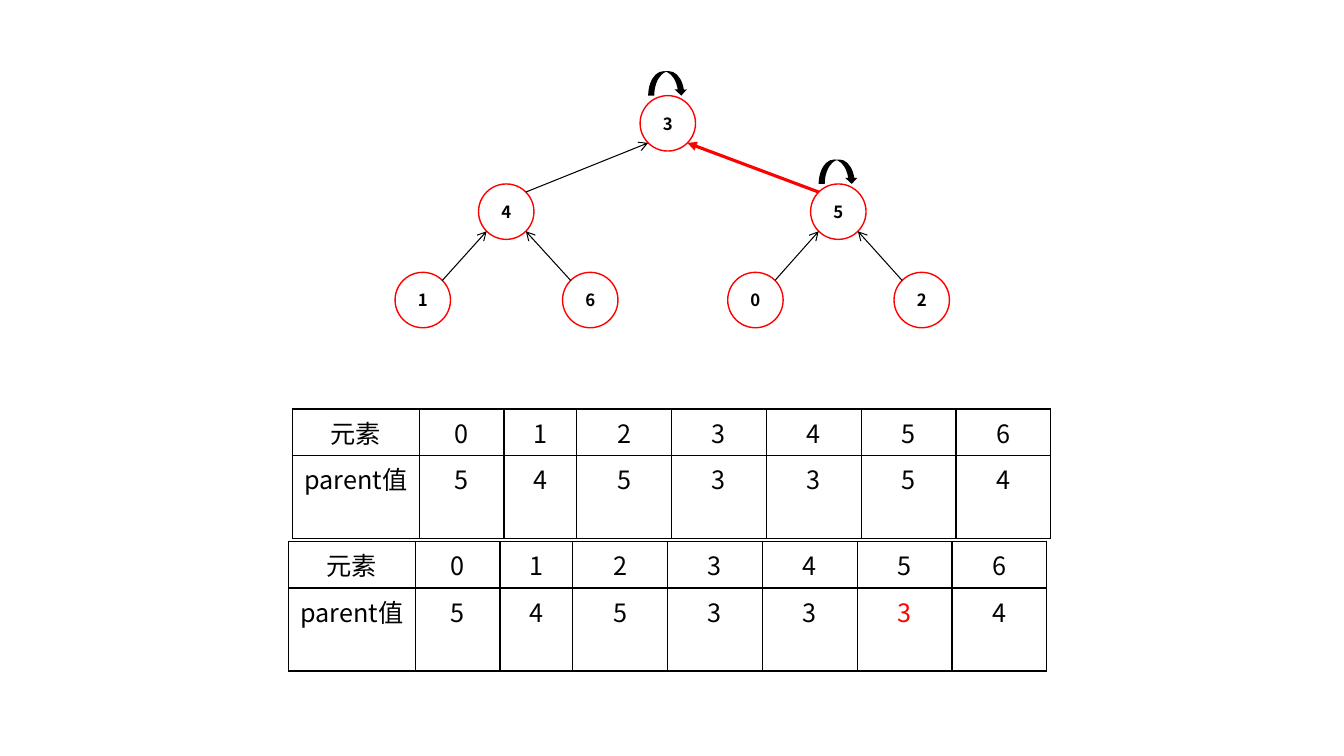
from dataclasses import dataclass
from math import sqrt

from lxml import etree
from pptx import Presentation
from pptx.dml.color import RGBColor
from pptx.enum.shapes import MSO_CONNECTOR, MSO_SHAPE
from pptx.enum.text import MSO_ANCHOR, PP_ALIGN
from pptx.oxml.ns import qn
from pptx.util import Pt


@dataclass(frozen=True)
class Theme:
    font: str = "Noto Sans CJK SC"
    black: RGBColor = RGBColor(0, 0, 0)
    red: RGBColor = RGBColor(255, 0, 0)
    node_size: int = 12
    table_size: int = 18


THEME = Theme()

# Content: the union-find forest before and after joining 5 to 3
ELEMENTS = [0, 1, 2, 3, 4, 5, 6]
PARENTS_BEFORE = [5, 4, 5, 3, 3, 5, 4]
PARENTS_AFTER = [5, 4, 5, 3, 3, 3, 4]
ROW_LABELS = ("元素", "parent值")

# Layout in points
NODE_X = {3: 477, 4: 361.6, 5: 598.8, 1: 302, 6: 421.6, 0: 539.6, 2: 658.4}
LEVELS = [[3], [4, 5], [1, 6, 0, 2]]
TOP_Y, LEVEL_GAP, DIAMETER = 88.1, 63.1, 39.6
LOOP_W, LOOP_H = 28, 17.4
COLUMNS = [90.6, 60.6, 51.9] + [67.75] * 5
ROW_H = 29.25
CENTERS = {node: (NODE_X[node], TOP_Y + depth * LEVEL_GAP)
           for depth, level in enumerate(LEVELS) for node in level}


def write(frame, text, size, color, bold=False):
    paragraph = frame.paragraphs[0]
    paragraph.alignment = PP_ALIGN.CENTER
    run = paragraph.add_run()
    run.text = str(text)
    font = run.font
    font.name, font.size, font.bold = THEME.font, Pt(size), bold
    font.color.rgb = color
    etree.SubElement(font._element, qn("a:ea"), typeface=THEME.font)


def add_node(slide, node):
    x, y = CENTERS[node]
    circle = slide.shapes.add_shape(
        MSO_SHAPE.OVAL, Pt(x - DIAMETER / 2), Pt(y - DIAMETER / 2),
        Pt(DIAMETER), Pt(DIAMETER))
    circle.shadow.inherit = False
    circle.fill.background()
    circle.line.color.rgb = THEME.red
    circle.line.width = Pt(1)
    frame = circle.text_frame
    frame.vertical_anchor = MSO_ANCHOR.MIDDLE
    write(frame, node, THEME.node_size, THEME.black, bold=True)


def add_self_loop(slide, node):
    x, y = CENTERS[node]
    loop = slide.shapes.add_shape(
        MSO_SHAPE.CURVED_DOWN_ARROW, Pt(x - LOOP_W / 2),
        Pt(y - DIAMETER / 2 - LOOP_H), Pt(LOOP_W), Pt(LOOP_H))
    loop.shadow.inherit = False
    loop.fill.solid()
    loop.fill.fore_color.rgb = THEME.black
    loop.line.fill.background()


def add_edge(slide, child, parent, is_new):
    """Join the facing diagonal points of two circles."""
    (x1, y1), (x2, y2) = CENTERS[child], CENTERS[parent]
    reach = DIAMETER / 2 / sqrt(2)
    side = reach if x2 > x1 else -reach
    edge = slide.shapes.add_connector(
        MSO_CONNECTOR.STRAIGHT, Pt(x1 + side), Pt(y1 - reach),
        Pt(x2 - side), Pt(y2 + reach))
    edge.line.color.rgb = THEME.red if is_new else THEME.black
    edge.line.width = Pt(2.25 if is_new else 0.75)
    etree.SubElement(edge.line._get_or_add_ln(), qn("a:tailEnd"),
                     type="triangle" if is_new else "arrow")
    etree.SubElement(edge._element.spPr, qn("a:effectLst"))


def add_borders(cell):
    properties = cell._tc.get_or_add_tcPr()
    for index, side in enumerate(("lnL", "lnR", "lnT", "lnB")):
        border = etree.Element(qn("a:" + side), w=str(Pt(1)))
        fill = etree.SubElement(border, qn("a:solidFill"))
        etree.SubElement(fill, qn("a:srgbClr"), val=str(THEME.black))
        properties.insert(index, border)


def add_parent_table(slide, left, top, parents):
    rows = [ELEMENTS, parents]
    table = slide.shapes.add_table(
        len(rows), len(COLUMNS), Pt(left), Pt(top),
        Pt(sum(COLUMNS)), Pt(ROW_H * len(rows))).table
    table.first_row = table.horz_banding = False
    for column, width in zip(table.columns, COLUMNS):
        column.width = Pt(width)
    for r, (label, values) in enumerate(zip(ROW_LABELS, rows)):
        table.rows[r].height = Pt(ROW_H)
        for c, value in enumerate([label] + values):
            changed = r == 1 and c > 0 and value != PARENTS_BEFORE[c - 1]
            cell = table.cell(r, c)
            cell.fill.background()
            add_borders(cell)
            write(cell.text_frame, value, THEME.table_size,
                  THEME.red if changed else THEME.black)


prs = Presentation()
prs.slide_width, prs.slide_height = Pt(960), Pt(540)
slide = prs.slides.add_slide(prs.slide_layouts[6])

# Forest
for node in CENTERS:
    add_node(slide, node)
for child, old, new in zip(ELEMENTS, PARENTS_BEFORE, PARENTS_AFTER):
    if child != new:
        add_edge(slide, child, new, is_new=old != new)
    if child == old:
        add_self_loop(slide, child)

# Parent tables
add_parent_table(slide, 208.8, 292.2, PARENTS_BEFORE)
add_parent_table(slide, 206, 386.7, PARENTS_AFTER)

prs.save("out.pptx")
